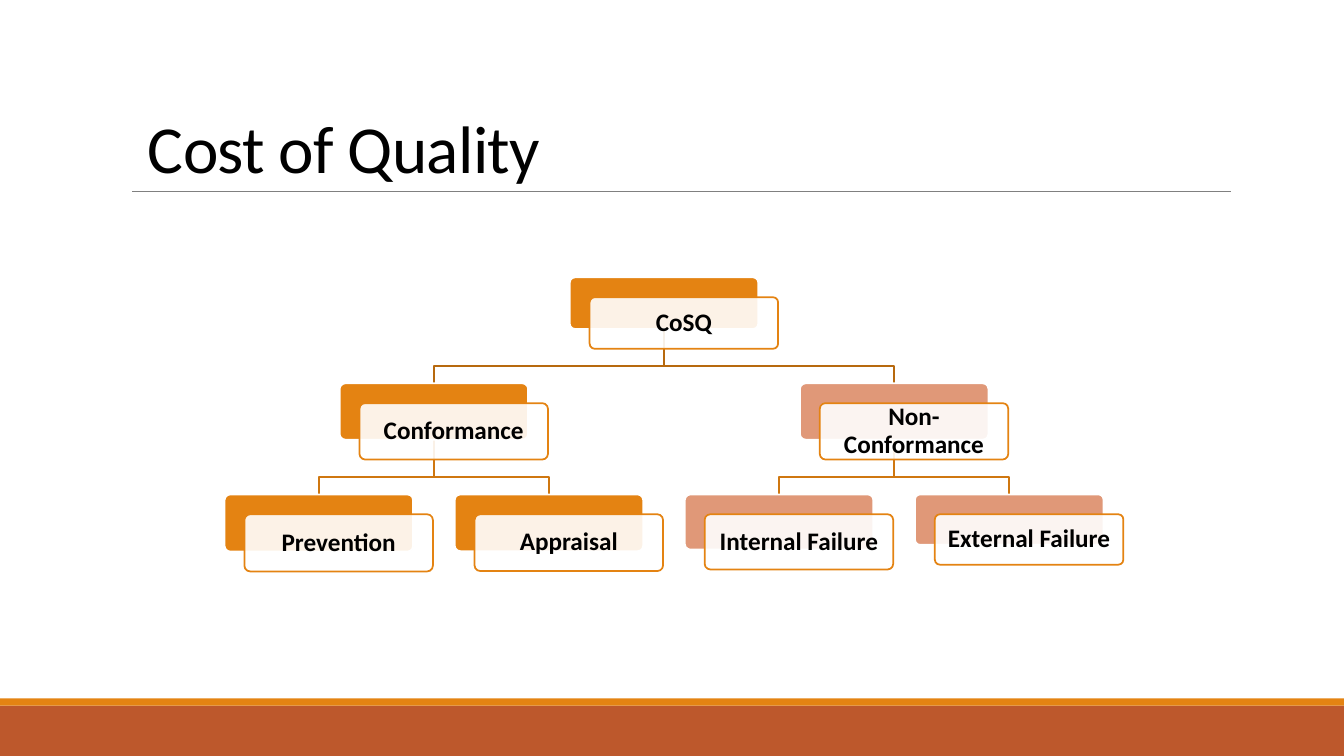
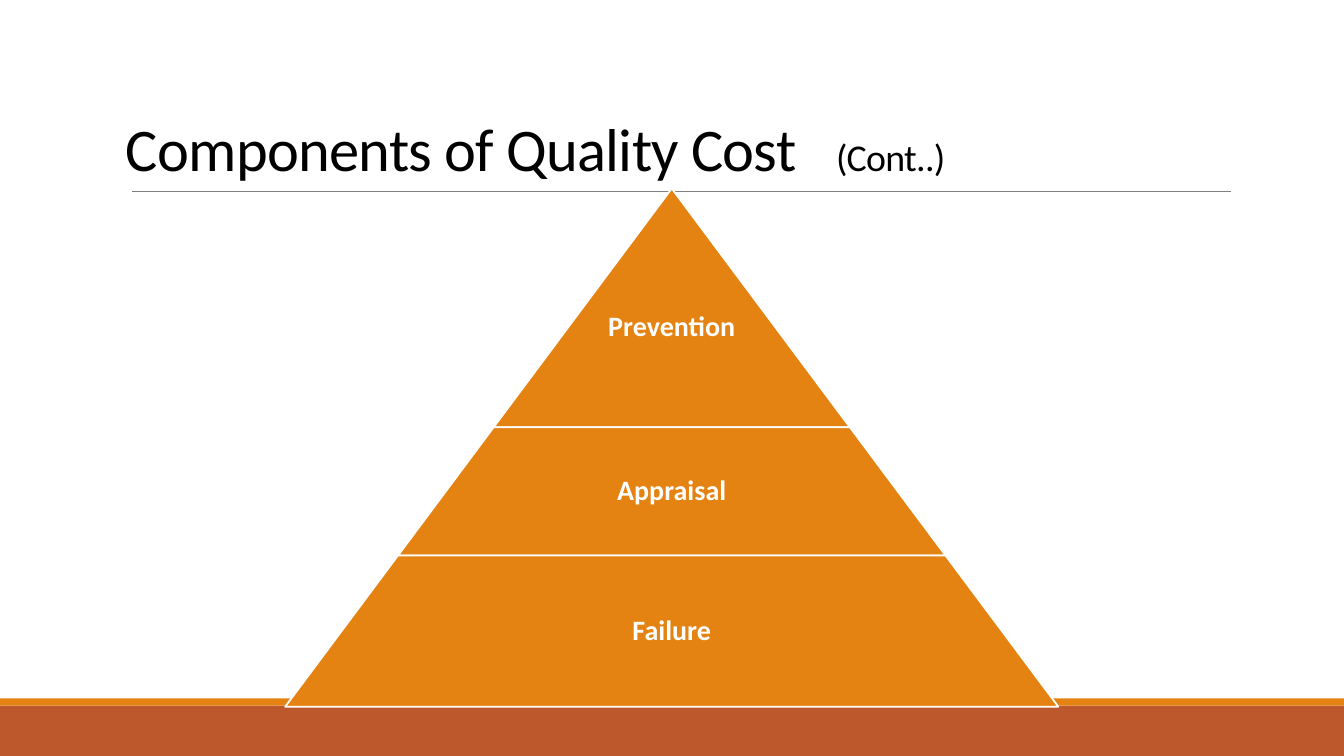
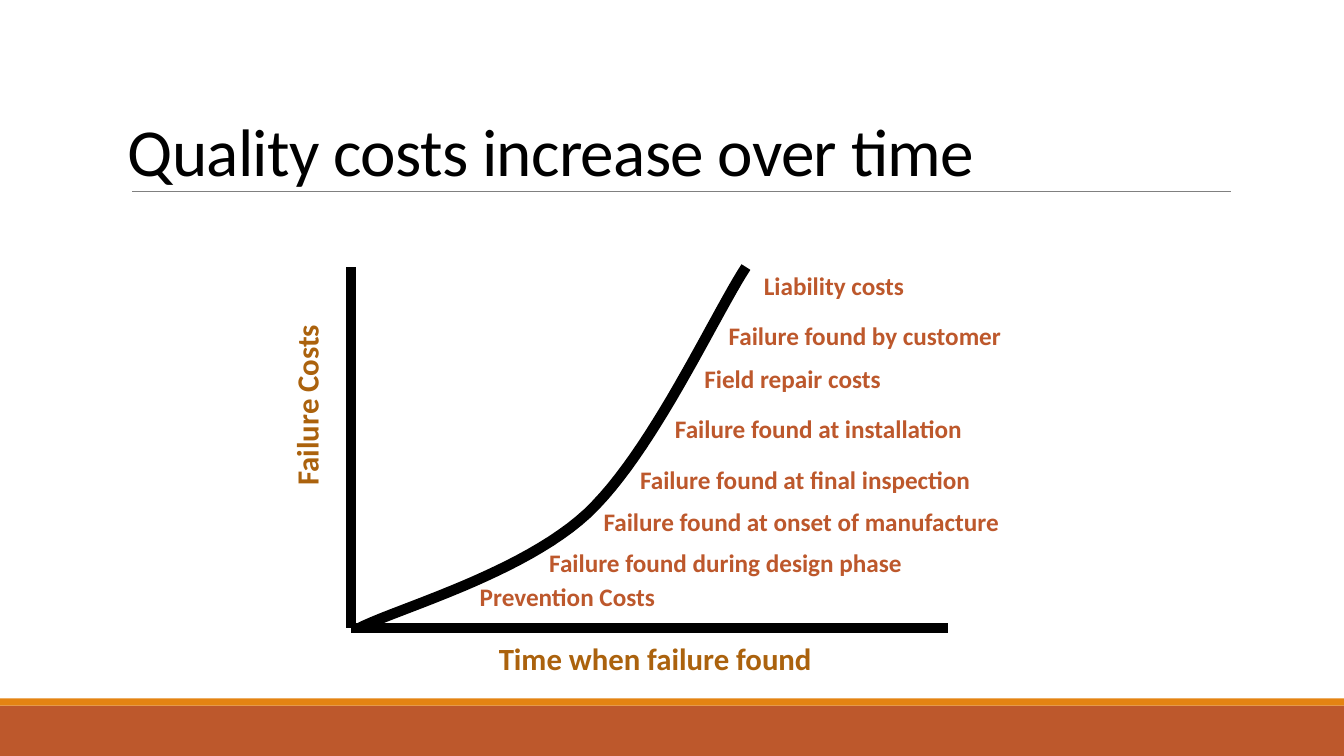
from lxml import etree
from pptx import Presentation
from pptx.dml.color import RGBColor
from pptx.enum.shapes import MSO_CONNECTOR, MSO_SHAPE
from pptx.enum.text import MSO_ANCHOR, PP_ALIGN
from pptx.oxml.ns import qn
from pptx.util import Cm, Pt

RECTANGLE = MSO_SHAPE.RECTANGLE
ROUNDED = MSO_SHAPE.ROUNDED_RECTANGLE
TRAPEZOID = MSO_SHAPE.TRAPEZOID
STRAIGHT = MSO_CONNECTOR.STRAIGHT
LEFT, CENTER = PP_ALIGN.LEFT, PP_ALIGN.CENTER
MIDDLE, BOTTOM = MSO_ANCHOR.MIDDLE, MSO_ANCHOR.BOTTOM

FONT = "Calibri"
WIDTH, HEIGHT = 33.87, 19.05
COLORS = {
    "white": "FFFFFF",
    "black": "000000",
    "rust": "BD582C",
    "orange": "E48312",
    "salmon": "E09878",
    "gray": "808080",
    "brown": "AB620D",
    "root_link": "B7690E",
    "leaf_link": "CF7710",
}


def color_of(name):
    return RGBColor.from_string(COLORS[name])


def write(shape, text, size=18, color="black", bold=False, align=LEFT,
          anchor=MIDDLE, spacing=None, tracking=None, wrap=True, inset=None, tab=None):
    frame = shape.text_frame
    frame.word_wrap = wrap
    frame.vertical_anchor = anchor
    if inset is not None:
        frame.margin_left = frame.margin_right = Cm(inset)
        frame.margin_top = frame.margin_bottom = Cm(inset)
    paragraph = frame.paragraphs[0]
    paragraph.alignment = align
    if spacing:
        paragraph.line_spacing = spacing
    if tab:
        properties = paragraph._p.get_or_add_pPr()
        tabs = etree.SubElement(properties, qn("a:tabLst"))
        etree.SubElement(tabs, qn("a:tab"), pos=str(Cm(tab)), algn="l")
    run = paragraph.add_run()
    run.text = text
    run.font.name = FONT
    run.font.size = Pt(size)
    run.font.bold = bold
    run.font.color.rgb = color_of(color)
    if tracking is not None:
        run._r.get_or_add_rPr().set("spc", str(int(tracking * 100)))


def bezier(start, first, second, end, steps=24):
    for step in range(1, steps + 1):
        t = step / steps
        u = 1 - t
        yield tuple(
            u ** 3 * a + 3 * u * u * t * b + 3 * u * t * t * c + t ** 3 * d
            for a, b, c, d in zip(start, first, second, end)
        )


class Deck:
    def __init__(self):
        self.presentation = Presentation()
        self.presentation.slide_width = Cm(WIDTH)
        self.presentation.slide_height = Cm(HEIGHT)
        self.slide = None

    def new_slide(self):
        self.slide = self.presentation.slides.add_slide(self.presentation.slide_layouts[6])
        self.shape(RECTANGLE, 0, 17.78, WIDTH, 1.27, "rust")
        self.shape(RECTANGLE, 0, 17.6, WIDTH, 0.18, "orange")
        self.line((3.33, 4.83), (31.01, 4.83), "gray", 0.5)

    def shape(self, kind, left, top, width, height, fill, line=None, adjust=None, alpha=None):
        shape = self.slide.shapes.add_shape(kind, Cm(left), Cm(top), Cm(width), Cm(height))
        shape.shadow.inherit = False
        shape.fill.solid()
        shape.fill.fore_color.rgb = color_of(fill)
        if alpha:
            color = shape._element.spPr.find(".//" + qn("a:srgbClr"))
            etree.SubElement(color, qn("a:alpha"), val=str(alpha * 1000))
        if line:
            shape.line.color.rgb = color_of(line)
            shape.line.width = Pt(1.25)
        else:
            shape.line.fill.background()
        if adjust is not None:
            shape.adjustments[0] = adjust
        return shape

    def line(self, start, end, color, weight):
        connector = self.slide.shapes.add_connector(STRAIGHT, *map(Cm, start + end))
        connector.line.color.rgb = color_of(color)
        connector.line.width = Pt(weight)
        etree.SubElement(connector._element.spPr, qn("a:effectLst"))

    def outline(self, points, color, weight):
        start, *rest = [(Cm(x), Cm(y)) for x, y in points]
        builder = self.slide.shapes.build_freeform(*start)
        builder.add_line_segments(rest, close=False)
        shape = builder.convert_to_shape()
        shape.shadow.inherit = False
        shape.fill.background()
        shape.line.color.rgb = color_of(color)
        shape.line.width = Pt(weight)

    def text(self, text, left, top, width, height, rotation=0, **style):
        box = self.slide.shapes.add_textbox(Cm(left), Cm(top), Cm(width), Cm(height))
        box.rotation = rotation
        write(box, text, **style)
        return box

    def title(self, text, left, top, size=48, **style):
        return self.text(text, left, top, 22.66, 2.74, size=size, anchor=BOTTOM,
                         spacing=0.85, tracking=-0.5, **style)

    def card(self, text, left, top, width, height, fill):
        self.shape(ROUNDED, left, top, width, height, fill, "white", 0.1)
        front = self.shape(ROUNDED, left + 0.5, top + 0.5, width, height,
                           "white", "orange", 0.1, alpha=90)
        write(front, text, bold=True, align=CENTER, spacing=0.9, inset=0.18)


def cost_tree(deck):
    deck.new_slide()
    deck.title("Cost of Quality", 3.48, 2.11)
    first_left, step, card_width = 5.66, 2.9, 4.75
    row_tops = (6.99, 9.66, 12.46)
    cards = {
        "CoSQ": (0, 3, 1.3, "orange", None),
        "Conformance": (1, 1, 1.42, "orange", "CoSQ"),
        "Prevention": (2, 0, 1.44, "orange", "Conformance"),
        "Appraisal": (2, 2, 1.43, "orange", "Conformance"),
        "Non- Conformance": (1, 5, 1.42, "salmon", "CoSQ"),
        "Internal Failure": (2, 4, 1.39, "salmon", "Non- Conformance"),
        "External Failure": (2, 6, 1.27, "salmon", "Non- Conformance"),
    }

    def middle(column):
        return first_left + column * step + card_width / 2

    for row, column, height, fill, parent in cards.values():
        if parent:
            parent_row, parent_column, parent_height = cards[parent][:3]
            start, end = middle(parent_column), middle(column)
            bend = row_tops[row] - 0.44
            deck.outline(
                [(start, row_tops[parent_row] + parent_height), (start, bend),
                 (end, bend), (end, row_tops[row])],
                "root_link" if row == 1 else "leaf_link", 1.25)
    for text, (row, column, height, fill, parent) in cards.items():
        deck.card(text, first_left + column * step, row_tops[row], card_width, height, fill)


def cost_pyramid(deck):
    deck.new_slide()
    title = deck.title("Components of Quality Cost", 2.92, 2.01, size=43.2, tab=17.9)
    write(title, "\t(Cont..)", size=27, anchor=BOTTOM, spacing=0.85, tracking=-0.5)
    center, apex, slope = 16.93, 4.75, 0.746
    top = apex
    tiers = (("Prevention", 6.02, 0.5), ("Appraisal", 3.23, 0), ("Failure", 3.81, 0))
    for text, height, text_drop in tiers:
        half = slope * (top + height - apex)
        deck.shape(TRAPEZOID, center - half, top, 2 * half, height, "orange", "white", slope)
        deck.text(text, center - 4.48, top + text_drop, 8.96, height, size=20, color="white",
                  bold=True, align=CENTER, spacing=0.9, inset=0.08)
        top += height


def cost_curve(deck):
    deck.new_slide()
    deck.title("Quality costs increase over time", 2.97, 2.18)
    origin = (8.84, 15.82)
    deck.line((8.84, 6.73), origin, "black", 7.5)
    deck.line(origin, (23.88, 15.82), "black", 7.5)
    start, bend, end = (9.07, 15.82), (14.81, 12.93), (18.8, 6.73)
    deck.outline(
        [start,
         *bezier(start, (10.01, 15.34), (13.18, 14.45), bend),
         *bezier(bend, (16.43, 11.4), (17.96, 8.03), end)],
        "black", 7.5)
    axis_style = dict(size=22, color="brown", bold=True, wrap=False)
    deck.text("Failure Costs", 5.36, 9.53, 4.72, 1.19, rotation=270, **axis_style)
    deck.text("Time when failure found", 12.32, 16, 8.56, 1.19, **axis_style)
    labels = (
        ("Prevention Costs", 11.84, 14.53, 4.93),
        ("Failure found during design phase", 13.59, 13.67, 9.65),
        ("Failure found at onset of manufacture", 14.96, 12.62, 10.62),
        ("Failure found at final inspection", 15.88, 11.56, 8.97),
        ("Failure found at installation", 16.76, 10.29, 7.87),
        ("Field repair costs", 17.5, 9.02, 5),
        ("Failure found by customer", 18.11, 7.95, 7.44),
        ("Liability costs", 19, 6.68, 4.09),
    )
    for text, left, top, width in labels:
        deck.text(text, left, top, width, 1.02, color="rust", bold=True, wrap=False)


def main():
    deck = Deck()
    cost_tree(deck)
    cost_pyramid(deck)
    cost_curve(deck)
    deck.presentation.save("out.pptx")


if __name__ == "__main__":
    main()
